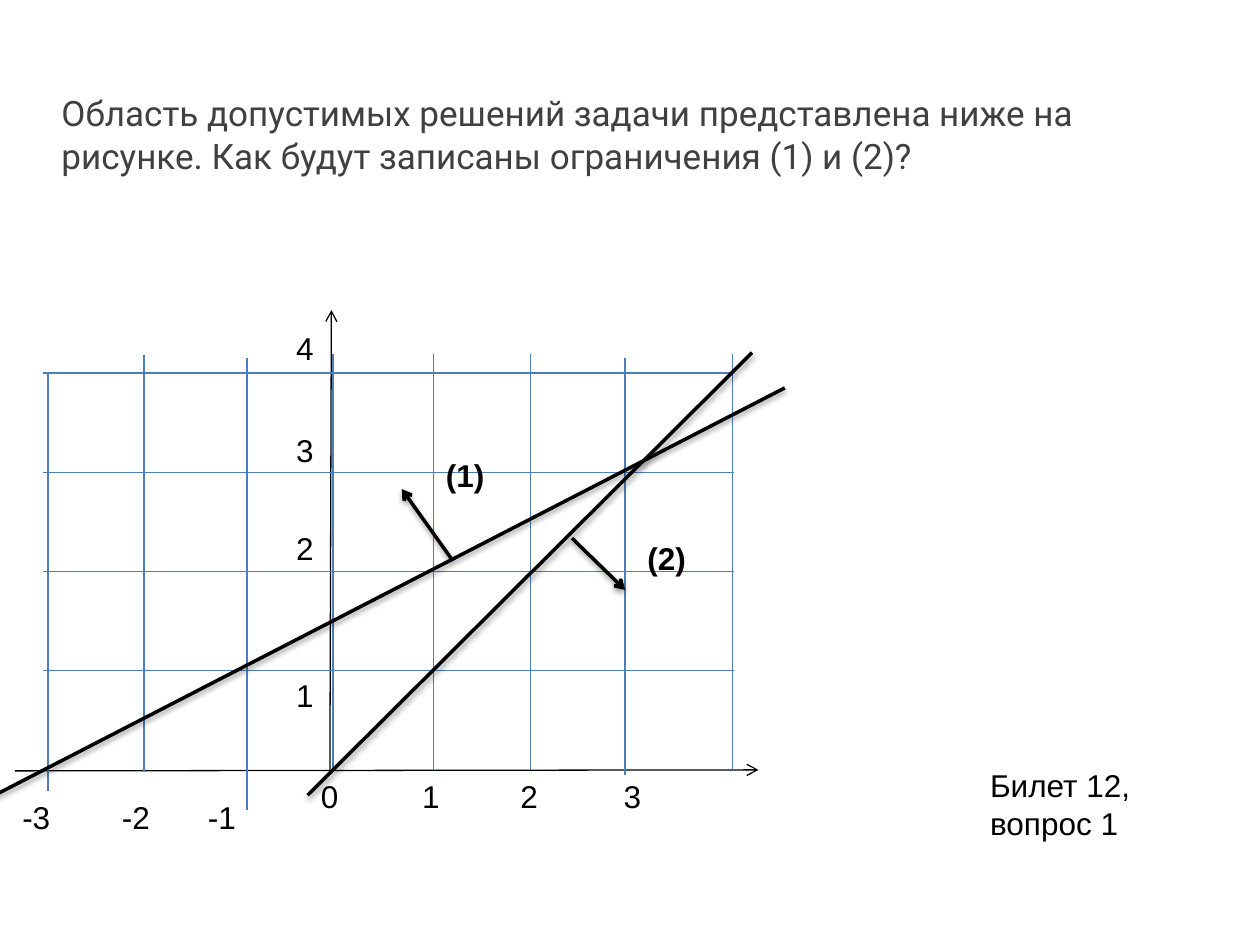
from dataclasses import dataclass

from lxml import etree
from pptx import Presentation
from pptx import util as u
from pptx.dml.color import RGBColor
from pptx.enum import shapes, text
from pptx.oxml import ns

COLORS = {"ink": "000000", "grid": "4B7EBC", "question": "404040"}
AXIS_Y, STEP_Y = 15.52, 2
LABEL_HEIGHT = 1.02


@dataclass
class Segment:
    """A straight line between two points in centimetres."""
    x1: float
    y1: float
    x2: float
    y2: float
    color: str = "ink"
    weight: float = 0.75
    arrow: bool = False
    shadow: bool = False


@dataclass
class Caption:
    """A piece of text and its box in centimetres."""
    wording: str
    left: float
    top: float
    width: float = 0.94
    height: float = LABEL_HEIGHT
    size: int = 18
    font: str = "Arial"
    color: str = "ink"
    bold: bool = False


def draw_segment(slide, segment: Segment) -> None:
    """Draw a line with its optional arrowhead and shadow."""
    line = slide.shapes.add_connector(
        shapes.MSO_CONNECTOR.STRAIGHT, u.Cm(segment.x1), u.Cm(segment.y1),
        u.Cm(segment.x2), u.Cm(segment.y2))
    line.line.color.rgb = RGBColor.from_string(COLORS[segment.color])
    line.line.width = u.Pt(segment.weight)
    if segment.arrow:
        etree.SubElement(line.line._get_or_add_ln(), ns.qn("a:tailEnd"), type="arrow")
    effects = etree.SubElement(line._element.spPr, ns.qn("a:effectLst"))
    if segment.shadow:
        shade = etree.SubElement(effects, ns.qn("a:outerShdw"), blurRad="40000",
                                 dist="20000", dir="5400000", rotWithShape="0")
        tone = etree.SubElement(shade, ns.qn("a:srgbClr"), val=COLORS["ink"])
        etree.SubElement(tone, ns.qn("a:alpha"), val="38000")


def draw_caption(slide, caption: Caption) -> None:
    """Write a caption in its own wrapping box."""
    box = slide.shapes.add_textbox(u.Cm(caption.left), u.Cm(caption.top),
                                   u.Cm(caption.width), u.Cm(caption.height))
    frame = box.text_frame
    frame.word_wrap = True
    frame.auto_size = text.MSO_AUTO_SIZE.SHAPE_TO_FIT_TEXT
    run = frame.paragraphs[0].add_run()
    run.text = caption.wording
    run.font.name = caption.font
    run.font.size = u.Pt(caption.size)
    run.font.bold = caption.bold
    run.font.color.rgb = RGBColor.from_string(COLORS[caption.color])


def main() -> None:
    """Build the slide with the feasible region and its question."""
    deck = Presentation()
    deck.slide_width, deck.slide_height = u.Cm(25.4), u.Cm(19.05)
    slide = deck.slides.add_slide(deck.slide_layouts[6])

    axes = [Segment(6.65, 15.62, 6.68, 6.25, arrow=True),
            Segment(0.3, 15.54, 15.29, AXIS_Y, arrow=True)]
    rows = [Segment(0.86, AXIS_Y - STEP_Y * n, 14.79, AXIS_Y - STEP_Y * n, "grid")
            for n in range(1, 5)]
    columns = [Segment(x, top, x, bottom, "grid") for x, top, bottom in (
        (0.97, 7.54, 15.95), (2.9, 7.16, 15.57), (4.98, 7.21, 16.33),
        (6.71, 7.14, AXIS_Y), (8.74, 7.14, AXIS_Y), (10.69, 7.14, AXIS_Y),
        (12.6, 7.21, 15.62), (14.76, 7.14, AXIS_Y))]
    constraints = [Segment(*ends, weight=2, shadow=True) for ends in (
        (6.2, 16.03, 15.16, 7.11), (15.82, 7.82, -0.3, 16.13))]
    directions = [Segment(*ends, weight=2, arrow=True, shadow=True) for ends in (
        (9.09, 11.25, 8.1, 9.86), (11.53, 10.85, 12.6, 11.89))]

    question = Caption(
        "Область допустимых решений задачи представлена ниже на рисунке. "
        "Как будут записаны ограничения (1) и (2)?",
        0.99, 1.73, 23.01, 1.96, 20, "Roboto", "question")
    x_labels = [Caption(str(n), left, 15.53)
                for n, left in enumerate((6.22, 8.26, 10.24, 12.32))]
    negative_labels = [Caption(str(n), left, 15.96, 1.35)
                       for n, left in ((-1, 3.94), (-2, 2.21), (-3, 0.2))]
    y_labels = [Caption(str(n), 5.72, top)
                for n, top in enumerate((13.51, 10.54, 8.56, 6.5), 1)]
    constraint_labels = [Caption("(1)", 8.74, 9.07, 1.6, bold=True),
                         Caption("(2)", 12.8, 10.74, 1.6, bold=True)]
    ticket = Caption("Билет 12, вопрос 1", 19.71, 15.32, 3.81, 1.8)

    for segment in axes + rows + columns + constraints + directions:
        draw_segment(slide, segment)
    for caption in [question, *x_labels, *negative_labels, *y_labels,
                    *constraint_labels, ticket]:
        draw_caption(slide, caption)
    deck.save("out.pptx")


if __name__ == "__main__":
    main()
